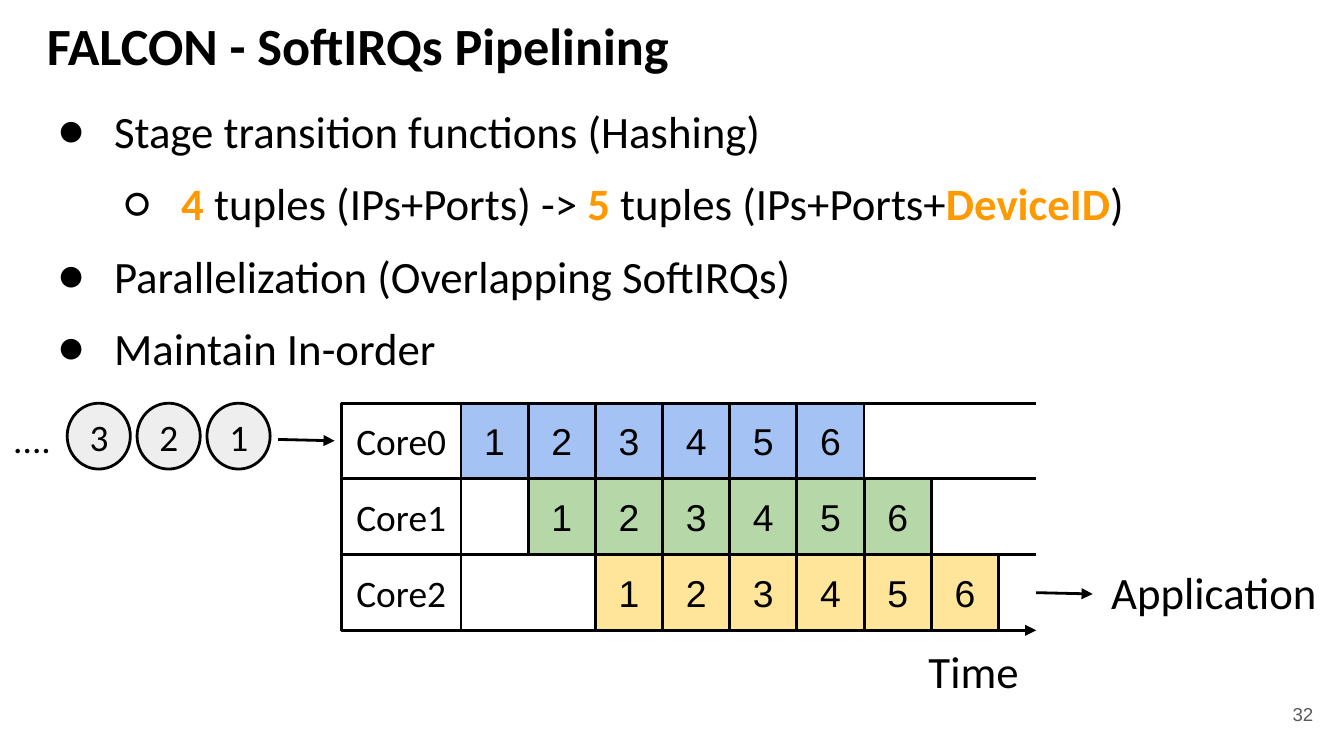
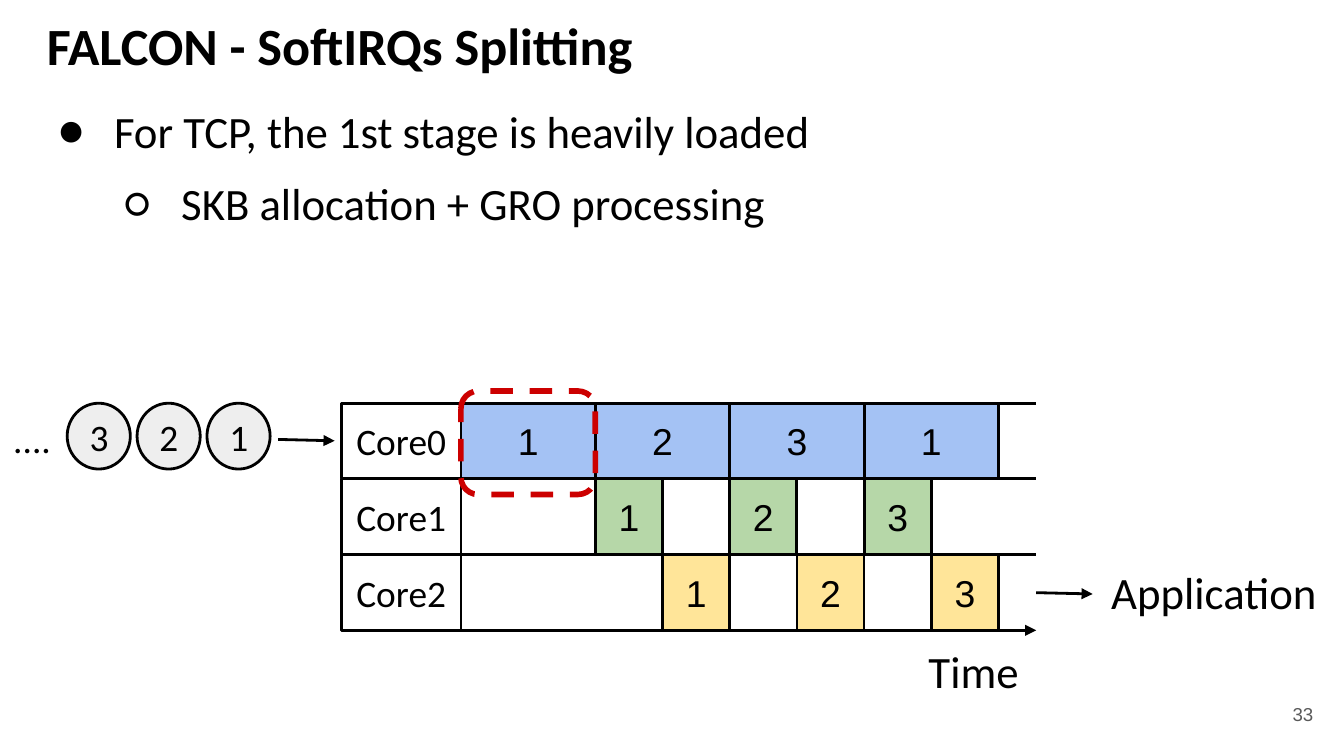
"""Build two slides on pipelining and splitting SoftIRQs across cores."""
from lxml.etree import SubElement
from pptx import Presentation
from pptx.dml.color import RGBColor
from pptx.enum.dml import MSO_LINE_DASH_STYLE as Dash
from pptx.enum.shapes import MSO_CONNECTOR as Connector, MSO_SHAPE as Shape
from pptx.enum.text import MSO_ANCHOR as Anchor, MSO_AUTO_SIZE as AutoSize, PP_ALIGN as Align
from pptx.oxml.ns import qn
from pptx.util import Inches, Pt

BLACK, ORANGE, GRAY, RED = "000000", "FF9900", "595959", "CC0000"
PACKET_FILL = "EEEEEE"
CORE_FILLS = ("A4C2F4", "B6D7A8", "FFE599")
BULLETS = "●○"
PACKETS = "321"

SLIDES = [
    {
        "title": "FALCON - SoftIRQs Pipelining",
        "number": "32",
        "body_height": 2.24,
        "points": [
            (0, [("Stage transition functions (Hashing)", False)]),
            (1, [("4", True), (" tuples (IPs+Ports) -> ", False), ("5", True),
                 (" tuples (IPs+Ports+", False), ("DeviceID", True), (")", False)]),
            (0, [("Parallelization (Overlapping SoftIRQs)", False)]),
            (0, [("Maintain In-order", False)]),
        ],
        "stages": [
            {"labels": "123456", "start": 0, "span": 1, "step": 1},
            {"labels": "123456", "start": 1, "span": 1, "step": 1},
            {"labels": "123456", "start": 2, "span": 1, "step": 1},
        ],
        "highlight_slots": 0,
    },
    {
        "title": "FALCON - SoftIRQs Splitting",
        "number": "33",
        "body_height": 1.15,
        "points": [
            (0, [("For TCP, the 1st stage is heavily loaded", False)]),
            (1, [("SKB allocation + GRO processing", False)]),
        ],
        "stages": [
            {"labels": "1231", "start": 0, "span": 2, "step": 2},
            {"labels": "123", "start": 2, "span": 1, "step": 2},
            {"labels": "123", "start": 3, "span": 1, "step": 2},
        ],
        "highlight_slots": 2,
    },
]

SLIDE_WIDTH = 10
CORE_LEFT, CORE_WIDTH = 2.54, 0.89
TIMELINE_LEFT, TIMELINE_RIGHT = CORE_LEFT + CORE_WIDTH, 7.71
TIMELINE_TOP, TIMELINE_BOTTOM = 3, 4.69
ROW_HEIGHT = (TIMELINE_BOTTOM - TIMELINE_TOP) / len(CORE_FILLS)
SLOT = 0.5


def color(value):
    return RGBColor.from_string(value)


def add_run(paragraph, text, size, font="Calibri", ink=BLACK, bold=False):
    run = paragraph.add_run()
    run.text = text
    run.font.name, run.font.size, run.font.bold = font, Pt(size), bold
    run.font.color.rgb = color(ink)


def prepare_frame(frame, anchor):
    frame.word_wrap = True
    frame.vertical_anchor = anchor
    frame.margin_left = frame.margin_right = Inches(0.1)
    frame.margin_top = frame.margin_bottom = Inches(0.1)
    return frame.paragraphs[0]


def add_box(slide, left, top, width, height, anchor=Anchor.TOP, grow=True):
    frame = slide.shapes.add_textbox(*map(Inches, (left, top, width, height))).text_frame
    prepare_frame(frame, anchor)
    if grow:
        frame.auto_size = AutoSize.SHAPE_TO_FIT_TEXT
    return frame


def add_label(slide, text, box, size, grow=True, bold=False):
    add_run(add_box(slide, *box, grow=grow).paragraphs[0], text, size, bold=bold)


def add_block(slide, kind, box, fill=None, text="", font="Calibri", edge=BLACK, weight=1.5):
    block = slide.shapes.add_shape(kind, *map(Inches, box))
    block.shadow.inherit = False
    if fill:
        block.fill.solid()
        block.fill.fore_color.rgb = color(fill)
    else:
        block.fill.background()
    block.line.color.rgb, block.line.width = color(edge), Pt(weight)
    if text:
        paragraph = prepare_frame(block.text_frame, Anchor.MIDDLE)
        paragraph.alignment = Align.CENTER
        add_run(paragraph, text, 20, font)
    return block


def add_line(slide, start, end, arrow=False):
    line = slide.shapes.add_connector(Connector.STRAIGHT, *map(Inches, (*start, *end)))
    line.line.color.rgb, line.line.width = color(BLACK), Pt(1.5)
    if arrow:
        SubElement(line.line._get_or_add_ln(), qn("a:tailEnd"), type="triangle")
    SubElement(line._element.spPr, qn("a:effectLst"))


def add_points(slide, points, height):
    frame = add_box(slide, 0.25, 0.67, 9.32, height)
    for index, (level, pieces) in enumerate(points):
        paragraph = frame.add_paragraph() if index else frame.paragraphs[0]
        paragraph.level = level
        properties = paragraph._p.get_or_add_pPr()
        properties.set("marL", str(Inches(0.5 * (level + 1))))
        properties.set("indent", str(Inches(-0.42)))
        bullet_color = SubElement(properties, qn("a:buClr"))
        SubElement(bullet_color, qn("a:srgbClr"), val=BLACK)
        SubElement(properties, qn("a:buFont"), typeface="Calibri")
        SubElement(properties, qn("a:buChar"), char=BULLETS[level])
        if index:
            paragraph.space_before = Pt(10)
        for text, strong in pieces:
            add_run(paragraph, text, 24, ink=ORANGE if strong else BLACK, bold=strong)
    paragraph.space_after = Pt(10)


def add_number(slide, number):
    frame = add_box(slide, 9.27, 5.1, 0.6, 0.43, Anchor.MIDDLE, grow=False)
    frame.paragraphs[0].alignment = Align.RIGHT
    add_run(frame.paragraphs[0], number, 10, "Arial", GRAY)


def add_packets(slide):
    add_label(slide, "....", (0, 3, 0.54, 0.85), 20, grow=False)
    for index, packet in enumerate(PACKETS):
        box = (0.5 + 0.52 * index, 3, 0.47, 0.49)
        add_block(slide, Shape.FLOWCHART_CONNECTOR, box, PACKET_FILL, packet)
    add_line(slide, (2.07, 3.27), (2.49, 3.28), arrow=True)


def add_timeline(slide, stages):
    tops = [TIMELINE_TOP + ROW_HEIGHT * row for row in range(len(stages))]
    for row, top in enumerate(tops):
        add_block(slide, Shape.RECTANGLE, (CORE_LEFT, top, CORE_WIDTH, ROW_HEIGHT), text=f"Core{row}")
        add_line(slide, (TIMELINE_LEFT, top), (TIMELINE_LEFT, top + ROW_HEIGHT))
        add_line(slide, (TIMELINE_LEFT, top), (TIMELINE_RIGHT, top))
    add_line(slide, (TIMELINE_LEFT, TIMELINE_BOTTOM), (TIMELINE_RIGHT, TIMELINE_BOTTOM), arrow=True)
    for top, fill, stage in zip(tops, CORE_FILLS, stages):
        for index, label in enumerate(stage["labels"]):
            left = TIMELINE_LEFT + SLOT * (stage["start"] + stage["step"] * index)
            box = (left, top, SLOT * stage["span"], ROW_HEIGHT)
            add_block(slide, Shape.RECTANGLE, box, fill, label, "Arial")
    add_label(slide, "Time", (6.81, TIMELINE_BOTTOM, 0.89, 0.61), 24)
    add_line(slide, (TIMELINE_RIGHT, 4.41), (8.13, 4.42), arrow=True)
    add_label(slide, "Application", (8.17, 4.1, 1.83, 0.61), 24)


def add_highlight(slide, slots):
    box = (TIMELINE_LEFT, 2.91, SLOT * slots, 0.77)
    highlight = add_block(slide, Shape.ROUNDED_RECTANGLE, box, edge=RED, weight=3)
    highlight.line.dash_style = Dash.DASH


def main():
    deck = Presentation()
    deck.slide_width, deck.slide_height = Inches(SLIDE_WIDTH), Inches(SLIDE_WIDTH * 9 / 16)
    for content in SLIDES:
        slide = deck.slides.add_slide(deck.slide_layouts[6])
        add_number(slide, content["number"])
        add_packets(slide)
        add_timeline(slide, content["stages"])
        add_label(slide, content["title"], (0.25, 0, 9.32, 0.67), 28, bold=True)
        if content["highlight_slots"]:
            add_highlight(slide, content["highlight_slots"])
        add_points(slide, content["points"], content["body_height"])
    deck.save("out.pptx")


if __name__ == "__main__":
    main()
